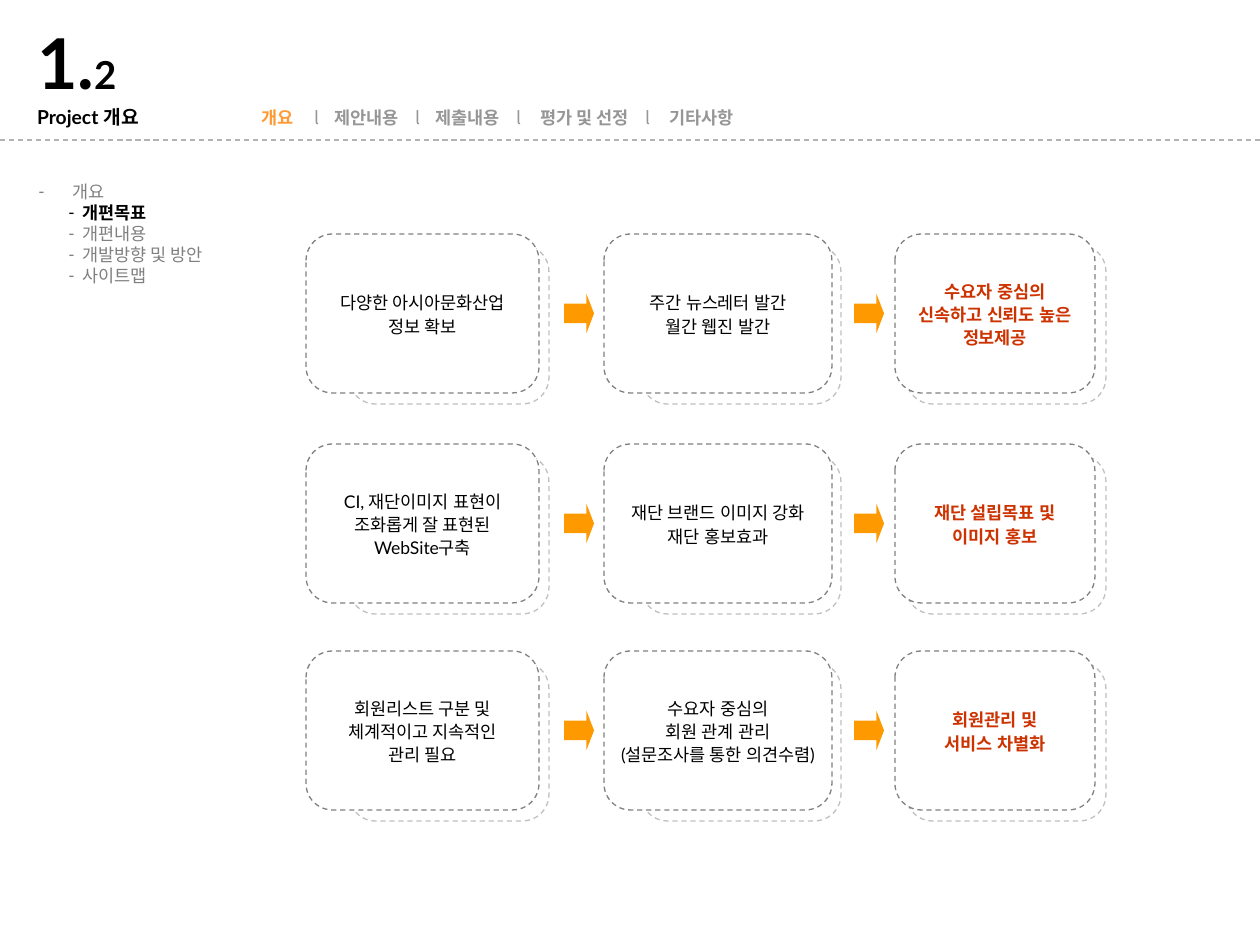
from lxml.etree import SubElement
from pptx import Presentation
from pptx.dml.color import RGBColor
from pptx.enum.dml import MSO_LINE
from pptx.enum.shapes import MSO_CONNECTOR, MSO_SHAPE
from pptx.enum.text import MSO_ANCHOR, MSO_AUTO_SIZE, PP_ALIGN
from pptx.oxml.ns import qn
from pptx.util import Emu, Pt

COLORS = {
    "black": "000000", "white": "FFFFFF", "gray": "808080", "pale": "C0C0C0",
    "rule": "B2B2B2", "nav": "969696", "active": "FF9933",
    "arrow": "FF9900", "result": "CC3300",
}
LATIN, KOREAN = "Lato", "Noto Sans CJK KR"
ROW_TOPS = (234, 444, 651)
CARD_HEIGHT = 159
COLUMNS = (
    {"front": (306, 233), "back": (349, 200), "color": "black"},
    {"front": (604, 228), "back": (641, 200), "color": "black"},
    {"front": (895, 200), "back": (906, 200), "color": "result"},
)
ARROW_LEFTS = (564, 854)
GOALS = (
    (("다양한 아시아문화산업", "정보 확보"),
     ("주간 뉴스레터 발간", "월간 웹진 발간"),
     ("수요자 중심의", "신속하고 신뢰도 높은", "정보제공")),
    (("CI, 재단이미지 표현이", "조화롭게 잘 표현된", "WebSite구축"),
     ("재단 브랜드 이미지 강화", "재단 홍보효과"),
     ("재단 설립목표 및", "이미지 홍보")),
    (("회원리스트 구분 및", "체계적이고 지속적인", "관리 필요"),
     ("수요자 중심의", "회원 관계 관리", "(설문조사를 통한 의견수렴)"),
     ("회원관리 및", "서비스 차별화")),
)
NAV_ITEMS = ("개요", "제안내용", "제출내용", "평가 및 선정", "기타사항")
NAV_TABS = (53, 73, 154, 174, 255, 279, 384, 408)
OUTLINE = ("개요", "개편목표", "개편내용", "개발방향 및 방안", "사이트맵")


def px(value):
    return Emu(round(value * 914400 / 126))


def rgb(name):
    return RGBColor.from_string(COLORS[name])


def place(shape, box):
    shape.left, shape.top, shape.width, shape.height = map(px, box)


def style(paragraph, size, color, name=LATIN, bold=False):
    font = paragraph.font
    font.size, font.bold, font.name = Pt(size), bold, name
    font.color.rgb = rgb(color)
    properties = paragraph._p.get_or_add_pPr().find(qn("a:defRPr"))
    SubElement(properties, qn("a:ea"), typeface=name)


def fill_lines(frame, lines):
    for index, line in enumerate(lines):
        paragraph = frame.paragraphs[0] if index == 0 else frame.add_paragraph()
        paragraph.text = line
        yield index, paragraph


def add_heading(page, box):
    title = page.shapes.title
    place(title, box)
    frame = title.text_frame
    frame.auto_size = MSO_AUTO_SIZE.NONE
    frame.vertical_anchor = MSO_ANCHOR.TOP
    frame.margin_left = frame.margin_right = px(11)
    frame.margin_top = frame.margin_bottom = px(5)
    for index, paragraph in fill_lines(frame, ("1.", "Project 개요")):
        paragraph.alignment = PP_ALIGN.LEFT
        paragraph.line_spacing = (0.8, 1.1)[index]
        style(paragraph, (40, 11)[index], "black", bold=True)
    span = frame.paragraphs[0].add_run()
    span.text = "2"
    span.font.size = Pt(22)


def add_navigation(page, box):
    frame = page.shapes.add_textbox(*map(px, box)).text_frame
    frame.word_wrap = True
    paragraph = frame.paragraphs[0]
    paragraph.line_spacing = Pt(12)
    tabs = SubElement(paragraph._p.get_or_add_pPr(), qn("a:tabLst"))
    for stop in NAV_TABS:
        SubElement(tabs, qn("a:tab"), pos=str(px(stop)), algn="l")
    style(paragraph, 10, "nav", KOREAN, bold=True)
    for index, item in enumerate(NAV_ITEMS):
        if index:
            divider = paragraph.add_run()
            divider.text = "\tl\t"
            divider.font.bold = False
        span = paragraph.add_run()
        span.text = item
        if index == 0:
            span.font.color.rgb = rgb("active")


def add_rule(page, box):
    left, top, width, height = box
    rule = page.shapes.add_connector(
        MSO_CONNECTOR.STRAIGHT, px(left), px(top), px(left + width), px(top + height))
    dash(rule, "rule")
    SubElement(rule._element.spPr, qn("a:effectLst"))


def add_outline(page, box):
    body = page.placeholders[1]
    place(body, box)
    frame = body.text_frame
    frame.auto_size = MSO_AUTO_SIZE.NONE
    for index, paragraph in fill_lines(frame, OUTLINE):
        paragraph.space_before = Pt(0)
        paragraph.line_spacing = Pt(12)
        margin, hanging = (44, 14) if index else (34, 34)
        properties = paragraph._p.get_or_add_pPr()
        properties.set("marL", str(px(margin)))
        properties.set("indent", str(-px(hanging)))
        SubElement(properties, qn("a:buChar"), char="-")
        current = index == 1
        style(paragraph, 10, "black" if current else "gray", KOREAN, current)


def dash(shape, color):
    shape.line.color.rgb = rgb(color)
    shape.line.width = Pt(0.75)
    shape.line.dash_style = MSO_LINE.DASH


def add_shape(page, kind, box, fill):
    shape = page.shapes.add_shape(kind, *map(px, box))
    shape.shadow.inherit = False
    shape.fill.solid()
    shape.fill.fore_color.rgb = rgb(fill)
    return shape


def add_card(page, column, top, lines):
    for layer, offset, color in (("back", 11, "pale"), ("front", 0, "gray")):
        left, width = column[layer]
        card = add_shape(page, MSO_SHAPE.ROUNDED_RECTANGLE,
                         (left, top + offset, width, CARD_HEIGHT), "white")
        dash(card, color)
    frame = card.text_frame
    frame.word_wrap = False
    frame.vertical_anchor = MSO_ANCHOR.MIDDLE
    for _, paragraph in fill_lines(frame, lines):
        paragraph.alignment = PP_ALIGN.CENTER
        paragraph.line_spacing = 1.1
        style(paragraph, 10, column["color"], bold=column["color"] == "result")


def add_goal_row(page, top, goals):
    for column, lines in zip(COLUMNS, goals):
        add_card(page, column, top, lines)
    for left in ARROW_LEFTS:
        arrow = add_shape(page, MSO_SHAPE.RIGHT_ARROW, (left, top + 60, 30, 39), "arrow")
        arrow.adjustments[1] = 0.25
        arrow.line.fill.background()


def main():
    deck = Presentation()
    deck.slide_width, deck.slide_height = px(1260), px(945)
    page = deck.slides.add_slide(deck.slide_layouts[1])
    add_rule(page, (0, 140, 1260, 0))
    add_outline(page, (26, 175, 194, 139))
    for top, goals in zip(ROW_TOPS, GOALS):
        add_goal_row(page, top, goals)
    add_navigation(page, (249, 101, 504, 34))
    add_heading(page, (26, 31, 296, 103))
    deck.save("out.pptx")


if __name__ == "__main__":
    main()
